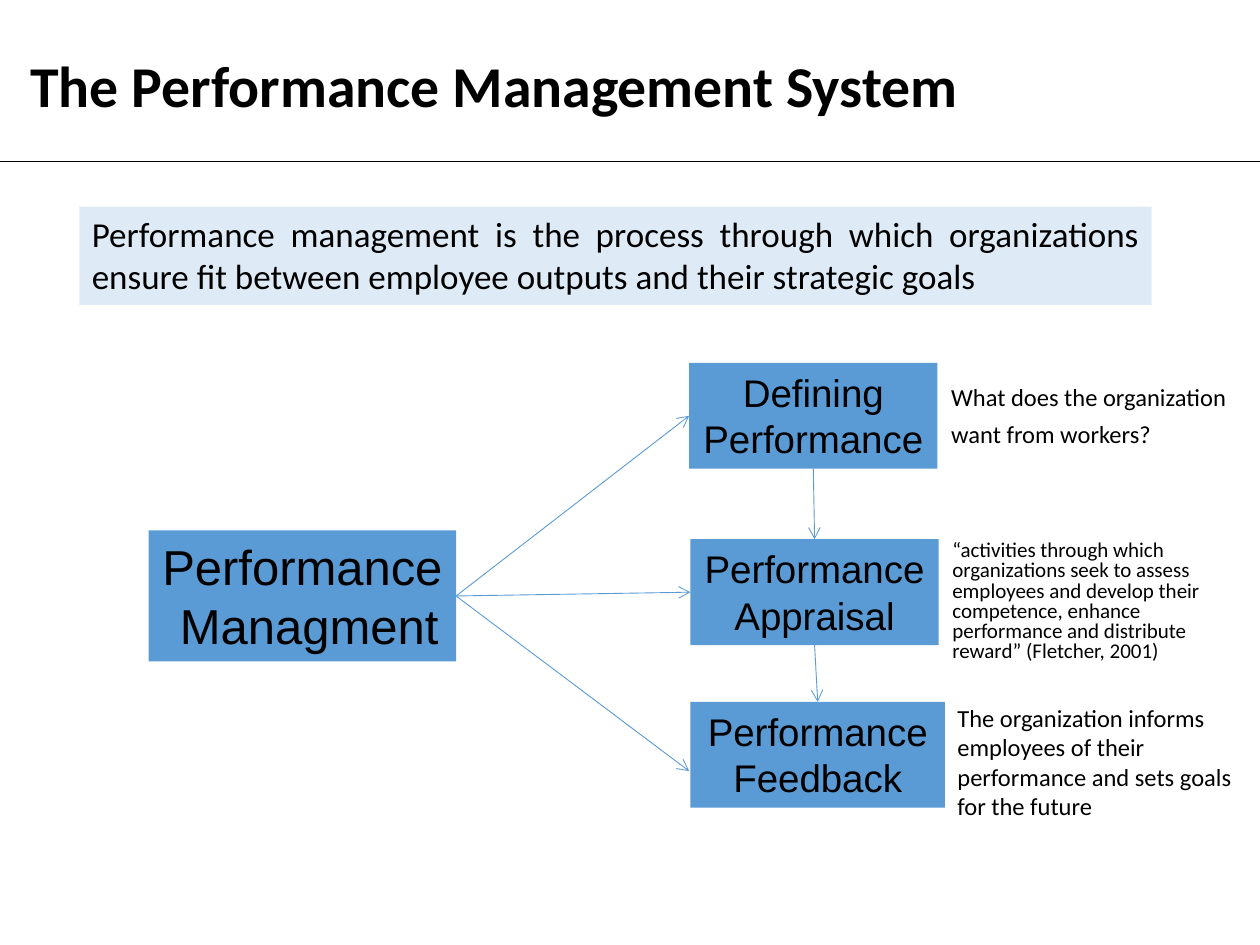
from lxml import etree
from pptx import Presentation
from pptx.dml.color import RGBColor
from pptx.enum import shapes, text
from pptx.oxml.ns import qn
from pptx.util import Inches, Pt

COLORS = {"ink": "000000", "box": "5B9BD5", "banner": "DEEBF7"}

HEADING = "The Performance Management System"
DEFINITION = ("Performance management is the process through which organizations "
              "ensure fit between employee outputs and their strategic goals")
HUB = "Performance\v Managment"
STAGES = [
    {"label": "Defining Performance", "at": (5.47, 2.88, 1.97, 0.84),
     "note": ["What does the organization", "want from workers?"],
     "note_at": (7.45, 3.03, 2.59, 0.62), "size": 14, "spacing": 0.8, "gap": 7.5},
    {"label": "Performance Appraisal", "at": (5.48, 4.28, 1.97, 0.84),
     "note": ["“activities through which organizations seek to assess employees "
              "and develop their competence, enhance performance and distribute "
              "reward” (Fletcher, 2001)"],
     "note_at": (7.46, 4.25, 2.59, 1.17), "size": 12, "spacing": 0.8, "gap": 0},
    {"label": "Performance Feedback", "at": (5.48, 5.57, 2.02, 0.84),
     "note": ["The organization informs employees of their performance and sets "
              "goals for the future"],
     "note_at": (7.5, 5.53, 2.59, 1.17), "size": 14, "spacing": 1.0, "gap": 0},
]
TOP, LEFT, BOTTOM, RIGHT = range(4)


def color(key):
    return RGBColor.from_string(COLORS[key])


def write(shape, lines, size, font, align, spacing=1.0, gap=0, bold=False,
          anchor=text.MSO_ANCHOR.TOP):
    frame = shape.text_frame
    frame.word_wrap = True
    frame.vertical_anchor = anchor
    for index, line in enumerate(lines):
        paragraph = frame.add_paragraph() if index else frame.paragraphs[0]
        paragraph.text = line
        paragraph.alignment = align
        paragraph.line_spacing = spacing
        paragraph.space_before = Pt(gap if index else 0)
        paragraph.font.size = Pt(size)
        paragraph.font.name = font
        paragraph.font.bold = bold
        paragraph.font.color.rgb = color("ink")


def add_box(slide, at, fill, label, size, font="Arial", align=text.PP_ALIGN.CENTER):
    box = slide.shapes.add_shape(shapes.MSO_SHAPE.RECTANGLE, *map(Inches, at))
    box.shadow.inherit = False
    box.fill.solid()
    box.fill.fore_color.rgb = color(fill)
    box.line.fill.background()
    write(box, [label], size, font, align)
    return box


def add_line(slide, start, end, key, arrow=False):
    line = slide.shapes.add_connector(
        shapes.MSO_CONNECTOR.STRAIGHT, *map(Inches, start + end))
    line.line.color.rgb = color(key)
    line.line.width = Pt(0.5)
    if arrow:
        etree.SubElement(line.line._get_or_add_ln(), qn("a:tailEnd"), type="arrow")
    etree.SubElement(line._element.spPr, qn("a:effectLst"))
    return line


def main():
    deck = Presentation()
    deck.slide_width, deck.slide_height = Inches(10), Inches(7.5)
    slide = deck.slides.add_slide(deck.slide_layouts[5])

    add_line(slide, (0, 1.28), (10, 1.28), "ink")

    title = slide.shapes.title
    title.left, title.top, title.width, title.height = map(Inches, (0.14, 0.08, 9, 1.25))
    write(title, [HEADING], 33, "Calibri", text.PP_ALIGN.LEFT, spacing=0.9, bold=True,
          anchor=text.MSO_ANCHOR.MIDDLE)

    add_box(slide, (0.63, 1.64, 8.51, 0.78), "banner", DEFINITION, 20, "Calibri",
            text.PP_ALIGN.JUSTIFY)
    hub = add_box(slide, (1.18, 4.21, 2.44, 1.04), "box", HUB, 28)

    boxes = []
    for stage in STAGES:
        boxes.append(add_box(slide, stage["at"], "box", stage["label"], 22))
        note = slide.shapes.add_textbox(*map(Inches, stage["note_at"]))
        write(note, stage["note"], stage["size"], "Calibri", text.PP_ALIGN.LEFT,
              stage["spacing"], stage["gap"])

    for box in boxes:
        branch = add_line(slide, (3.62, 4.73), (5.47, 6.12), "box", arrow=True)
        branch.begin_connect(hub, RIGHT)
        if box is not boxes[-1]:
            branch.end_connect(box, LEFT)

    for upper, lower in zip(boxes, boxes[1:]):
        step = add_line(slide, (0, 0), (0, 0), "box", arrow=True)
        step.begin_connect(upper, BOTTOM)
        step.end_connect(lower, TOP)

    deck.save("out.pptx")


if __name__ == "__main__":
    main()
